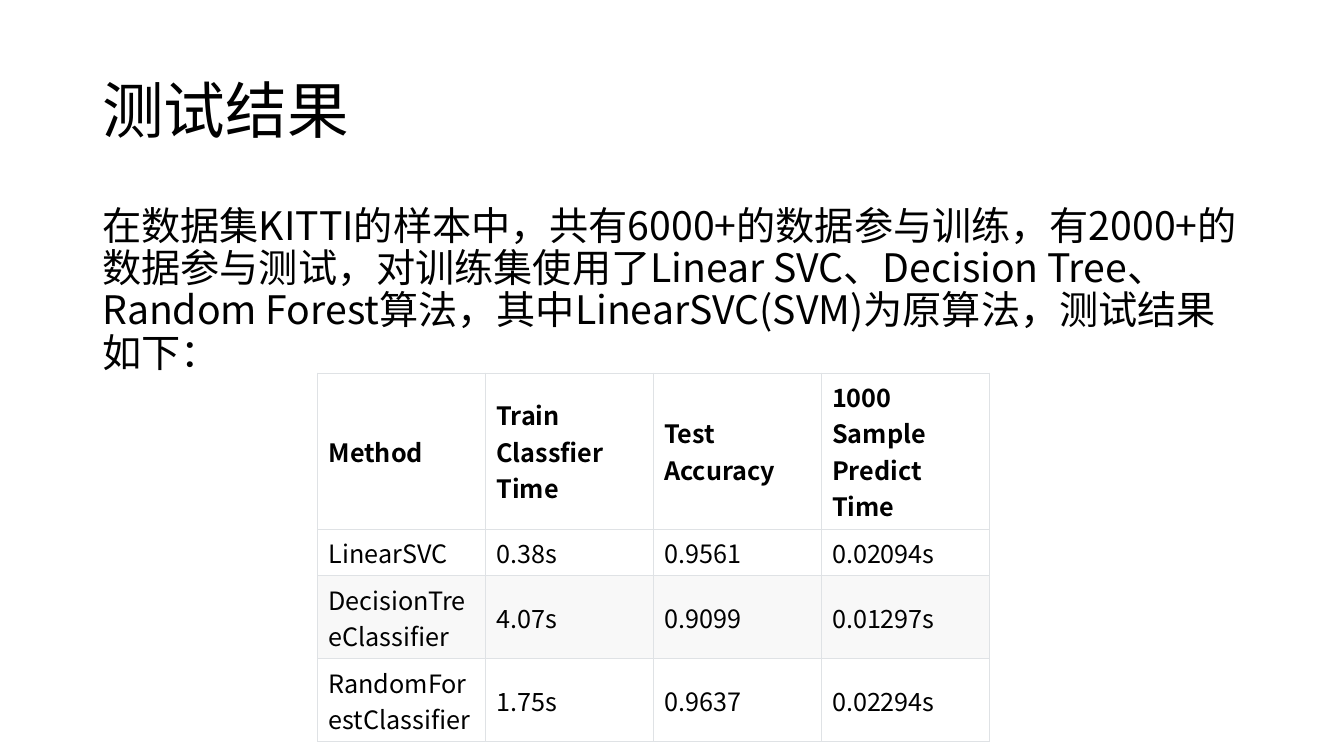
from dataclasses import dataclass

import lxml.etree
import pptx
import pptx.dml.color
import pptx.enum.text
import pptx.oxml.ns
import pptx.util

Cm = pptx.util.Cm
Pt = pptx.util.Pt
RGB = pptx.dml.color.RGBColor.from_string
MIDDLE = pptx.enum.text.MSO_ANCHOR.MIDDLE
TOP = pptx.enum.text.MSO_ANCHOR.TOP
qn = pptx.oxml.ns.qn


@dataclass(frozen=True)
class Theme:
    """Hold the font, colours and type sizes of the slide."""
    font: str = "Noto Sans CJK SC"
    text: str = "000000"
    border: str = "DFE2E5"
    row: str = "FFFFFF"
    band: str = "F8F8F8"
    title_size: int = 44
    body_size: int = 28
    table_size: int = 18
    border_width: float = 0.6


THEME = Theme()
TITLE = "测试结果"
BODY = ("在数据集KITTI的样本中，共有6000+的数据参与训练，有2000+的数据参与测试，"
        "对训练集使用了Linear SVC、Decision Tree、Random Forest算法，"
        "其中LinearSVC(SVM)为原算法，测试结果如下：")
RESULTS = [
    ("Method", "Train Classfier Time", "Test Accuracy", "1000 Sample Predict Time"),
    ("LinearSVC", "0.38s", "0.9561", "0.02094s"),
    ("DecisionTreeClassifier", "4.07s", "0.9099", "0.01297s"),
    ("RandomForestClassifier", "1.75s", "0.9637", "0.02294s"),
]
ROW_HEIGHTS = (3.93, 1.18, 2.09, 2.09)
COLUMN_WIDTH = 4.23


def write_text(tf, text, size, bold=False, line_spacing=None, space_before=0):
    """Write one formatted paragraph into a text frame."""
    tf.word_wrap = True
    p = tf.paragraphs[0]
    p.space_before = Pt(space_before)
    if line_spacing:
        p.line_spacing = line_spacing
    r = p.add_run()
    r.text = text
    r.font.size = Pt(size)
    r.font.bold = bold
    r.font.color.rgb = RGB(THEME.text)
    r.font.name = THEME.font
    ea = lxml.etree.SubElement(r.font._element, qn("a:ea"))
    ea.set("typeface", THEME.font)


def add_text_box(s, left, top, width, height, text, size, anchor=TOP, **fmt):
    """Add a wrapped text box measured in centimetres."""
    sp = s.shapes.add_textbox(Cm(left), Cm(top), Cm(width), Cm(height))
    sp.text_frame.vertical_anchor = anchor
    write_text(sp.text_frame, text, size, **fmt)


def set_borders(cell):
    """Draw a thin line on all four sides of a cell."""
    tc_pr = cell._tc.get_or_add_tcPr()
    for i, side in enumerate(("a:lnL", "a:lnR", "a:lnT", "a:lnB")):
        ln = lxml.etree.Element(qn(side), w=str(Pt(THEME.border_width)))
        fill = lxml.etree.SubElement(ln, qn("a:solidFill"))
        lxml.etree.SubElement(fill, qn("a:srgbClr"), val=THEME.border)
        tc_pr.insert(i, ln)


def fill_cell(cell, text, color, bold):
    """Format one table cell and write its text."""
    cell.margin_left = cell.margin_right = Cm(0.28)
    cell.margin_top = cell.margin_bottom = Cm(0.13)
    cell.vertical_anchor = MIDDLE
    cell.fill.solid()
    cell.fill.fore_color.rgb = RGB(color)
    set_borders(cell)
    write_text(cell.text_frame, text, THEME.table_size, bold=bold)


def add_results_table(s, left, top):
    """Add the table that compares the classifiers."""
    columns = len(RESULTS[0])
    frame = s.shapes.add_table(len(RESULTS), columns, Cm(left), Cm(top),
                               Cm(COLUMN_WIDTH * columns), Cm(sum(ROW_HEIGHTS)))
    table = frame.table
    for column in table.columns:
        column.width = Cm(COLUMN_WIDTH)
    for i, (values, height) in enumerate(zip(RESULTS, ROW_HEIGHTS)):
        table.rows[i].height = Cm(height)
        color = THEME.band if i and i % 2 == 0 else THEME.row
        for j, value in enumerate(values):
            fill_cell(table.cell(i, j), value, color, bold=i == 0)


def main():
    """Build the slide and save it."""
    prs = pptx.Presentation()
    prs.slide_width, prs.slide_height = Cm(33.87), Cm(19.05)
    s = prs.slides.add_slide(prs.slide_layouts[6])
    add_text_box(s, 2.33, 1.01, 29.21, 3.68, TITLE, THEME.title_size,
                 anchor=MIDDLE, line_spacing=0.9)
    add_text_box(s, 2.33, 5.07, 29.21, 12.09, BODY, THEME.body_size,
                 line_spacing=0.9, space_before=10)
    add_results_table(s, 8, 9.4)
    prs.save("out.pptx")


if __name__ == "__main__":
    main()
